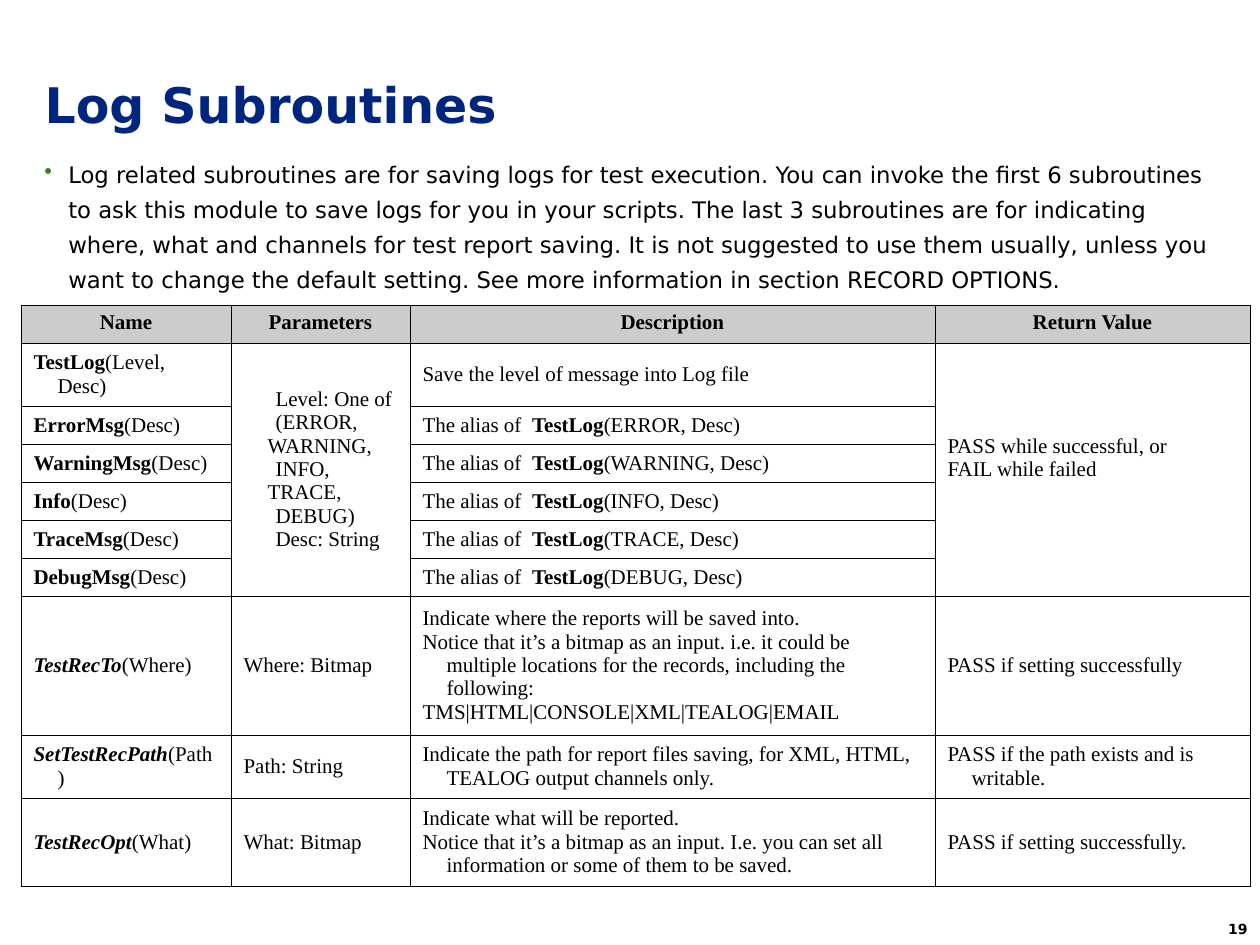
from lxml import etree
from pptx import Presentation
from pptx import util as u
from pptx.dml.color import RGBColor
from pptx.enum import text as t
from pptx.oxml.ns import qn

SCALE = 914400 / 126
SANS, SERIF = "DejaVu Sans", "Times New Roman"
LEFT, MID, RIGHT = t.PP_ALIGN.LEFT, t.PP_ALIGN.CENTER, t.PP_ALIGN.RIGHT

INTRO = (
    "Log related subroutines are for saving logs for test execution. "
    "You can invoke the first 6 subroutines to ask this module to save logs "
    "for you in your scripts. The last 3 subroutines are for indicating where, "
    "what and channels for test report saving. It is not suggested to use them "
    "usually, unless you want to change the default setting. See more "
    "information in section RECORD OPTIONS."
)
COLS = [210, 179, 525, 315]
ROWS = [38, 63] + [38] * 5 + [139, 63, 88]
ALIASES = ["Error", "Warning", "Info", "Trace", "Debug"]

# Asterisks enclose the bold part of a text
CELLS = [
    ["*Name*", "*Parameters*", "*Description*", "*Return Value*"],
    ["*TestLog*(Level, Desc)",
     "Level: One of\n(ERROR, WARNING,\nINFO, TRACE,\nDEBUG)\nDesc: String",
     "Save the level of message into Log file",
     "PASS while successful, or\nFAIL while failed"],
    *[[f"*{name if name == 'Info' else name + 'Msg'}*(Desc)", "",
       f"The alias of  *TestLog*({name.upper()}, Desc)", ""]
      for name in ALIASES],
    ["*TestRecTo*(Where)", "Where: Bitmap",
     "Indicate where the reports will be saved into.\n"
     "Notice that it’s a bitmap as an input. i.e. it could be multiple "
     "locations for the records, including the following:\n"
     "TMS|HTML|CONSOLE|XML|TEALOG|EMAIL",
     "PASS if setting successfully"],
    ["*SetTestRecPath*(Path)", "Path: String",
     "Indicate the path for report files saving, for XML, HTML, TEALOG "
     "output channels only.",
     "PASS if the path exists and is writable."],
    ["*TestRecOpt*(What)", "What: Bitmap",
     "Indicate what will be reported.\n"
     "Notice that it’s a bitmap as an input. I.e. you can set all "
     "information or some of them to be saved.",
     "PASS if setting successfully."],
]


def px(n):
    return u.Emu(round(n * SCALE))


def color(code):
    return RGBColor.from_string(code)


def write(frame, text, size=12, font=SERIF, ink="000000", bold=False,
          slant=False, align=LEFT, margin=0, indent=0, bullet=None,
          line=None, after=None):
    """Fill a frame, one paragraph a line; slant makes bold parts italic."""
    frame.word_wrap = True
    for i, row in enumerate(text.split("\n")):
        para = frame.add_paragraph() if i else frame.paragraphs[0]
        props = para._p.get_or_add_pPr()
        props.set("marL", str(px(margin)))
        props.set("indent", str(px(indent)))
        if bullet:
            tint = etree.SubElement(props, qn("a:buClr"))
            etree.SubElement(tint, qn("a:srgbClr"), val=bullet)
            etree.SubElement(props, qn("a:buChar"), char="•")
        para.alignment = align
        if line:
            para.line_spacing = u.Pt(line)
        if after:
            para.space_after = u.Pt(after)
        for k, part in enumerate(row.split("*")):
            if not part:
                continue
            run = para.add_run()
            run.text = part
            face = run.font
            face.name, face.size = font, u.Pt(size)
            face.bold = bold or k % 2 == 1
            face.italic = slant and k % 2 == 1
            face.color.rgb = color(ink)


def add_text(slide, box, text, **fmt):
    shape = slide.shapes.add_textbox(*map(px, box))
    write(shape.text_frame, text, **fmt)


def add_title(slide, box, text):
    title = slide.shapes.title
    title.left, title.top, title.width, title.height = map(px, box)
    frame = title.text_frame
    frame.auto_size = t.MSO_AUTO_SIZE.NONE
    frame.vertical_anchor = t.MSO_ANCHOR.MIDDLE
    write(frame, text, size=28, font=SANS, ink="00257E", bold=True)


def edge(cell, outer):
    """Rule the four sides, heavier where a side is on the table's rim."""
    props = cell._tc.get_or_add_tcPr()
    for i, (side, rim) in enumerate(zip("LRTB", outer)):
        rule = etree.Element(qn("a:ln" + side),
                             w=str(u.Pt(0.45 if rim else 0.06)))
        fill = etree.SubElement(rule, qn("a:solidFill"))
        etree.SubElement(fill, qn("a:srgbClr"), val="000000")
        props.insert(i, rule)


def add_grid(slide, left, top):
    shape = slide.shapes.add_table(len(ROWS), len(COLS), px(left), px(top),
                                   px(sum(COLS)), px(sum(ROWS)))
    table = shape.table
    table.first_row = table.horz_banding = False
    for col, wide in zip(table.columns, COLS):
        col.width = px(wide)
    for row, high in zip(table.rows, ROWS):
        row.height = px(high)

    # Shared parameters and return value of the six log calls
    for c in (1, 3):
        table.cell(1, c).merge(table.cell(6, c))

    for r, texts in enumerate(CELLS):
        for c, text in enumerate(texts):
            cell = table.cell(r, c)
            head, deep = r == 0, (r, c) == (1, 1)
            if head:
                cell.fill.solid()
                cell.fill.fore_color.rgb = color("CCCCCC")
            else:
                cell.fill.background()
                cell.vertical_anchor = t.MSO_ANCHOR.MIDDLE
            edge(cell, (c == 0, c == len(COLS) - 1, head, r == len(ROWS) - 1))
            write(cell.text_frame, text, slant=r > 6, margin=24,
                  indent=8 if deep else -24, align=MID if head else LEFT)

    # Raise the shared return value above the middle
    table.cell(1, 3).margin_bottom = px(30)


def main():
    deck = Presentation()
    deck.slide_width, deck.slide_height = px(1260), px(945)
    slide = deck.slides.add_slide(deck.slide_layouts[5])
    add_title(slide, (32, 63, 1197, 81), "Log Subroutines")
    add_text(slide, (32, 147, 1197, 147), INTRO, size=13, font=SANS,
             margin=24, indent=-24, bullet="387E29", line=20, after=4)
    add_grid(slide, 21, 305)
    add_text(slide, (1178, 914, 82, 31), "19", size=8, font=SANS,
             bold=True, align=RIGHT)
    deck.save("out.pptx")


if __name__ == "__main__":
    main()
